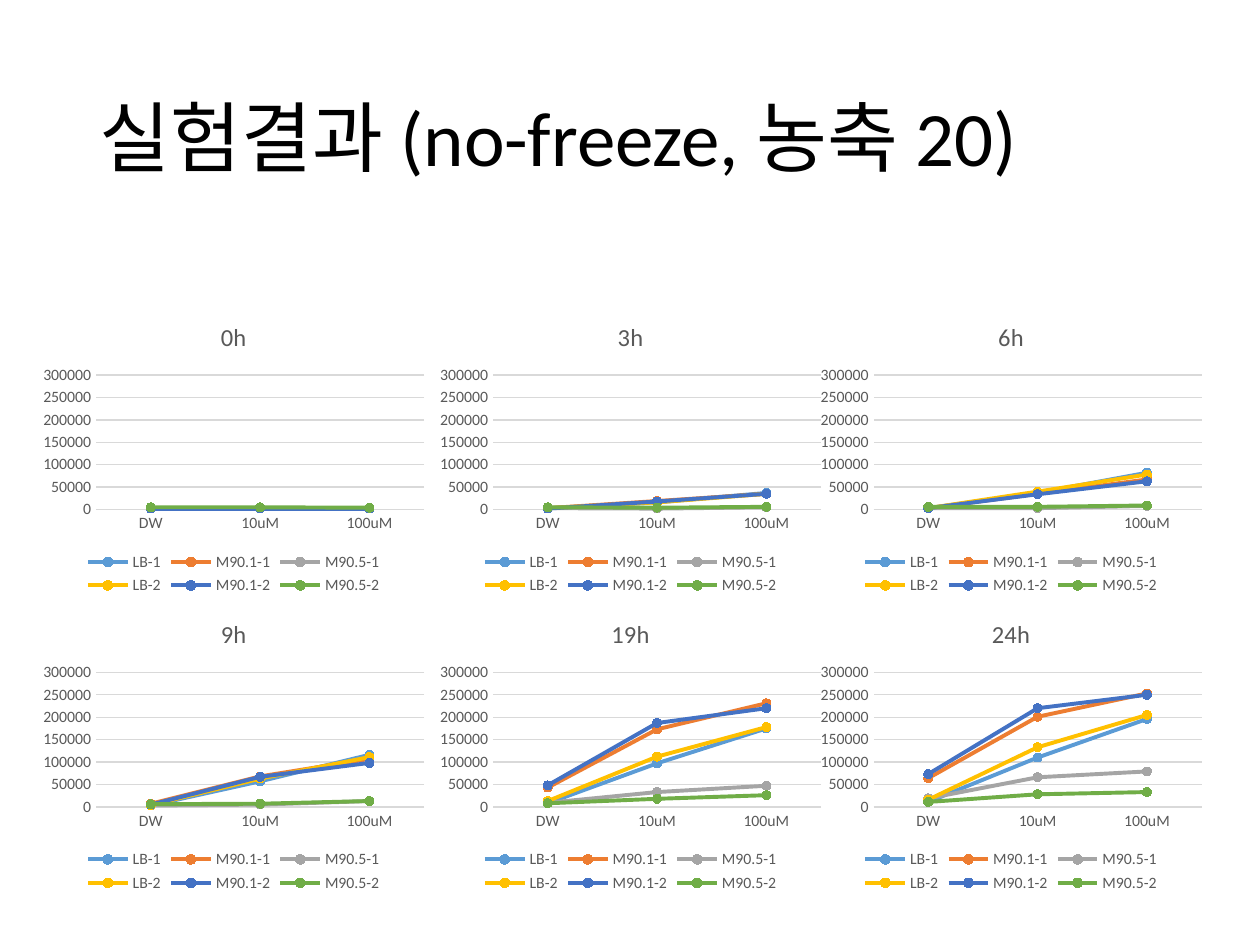
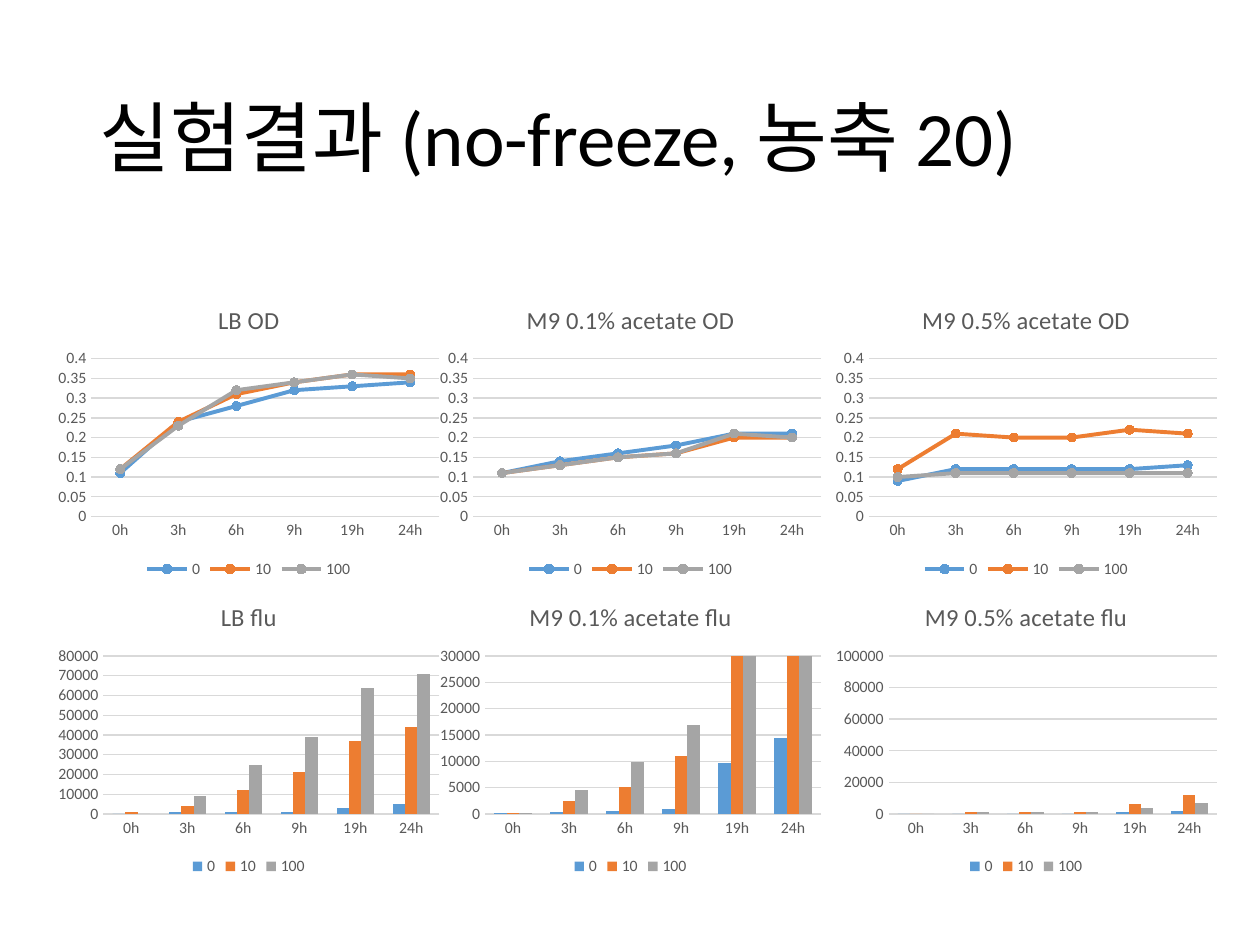
"""Build two slides of fluorescence and optical density charts."""
from dataclasses import dataclass
from itertools import product

from pptx import Presentation
from pptx.chart.data import CategoryChartData
from pptx.dml.color import RGBColor
from pptx.enum.chart import XL_CHART_TYPE, XL_LEGEND_POSITION, XL_MARKER_STYLE, XL_TICK_MARK
from pptx.enum.text import MSO_ANCHOR, MSO_AUTO_SIZE, PP_ALIGN
from pptx.util import Inches, Pt

LINE = XL_CHART_TYPE.LINE_MARKERS
COLUMN = XL_CHART_TYPE.COLUMN_CLUSTERED
BOTTOM = XL_LEGEND_POSITION.BOTTOM
CIRCLE = XL_MARKER_STYLE.CIRCLE
NO_TICK = XL_TICK_MARK.NONE
MIDDLE = MSO_ANCHOR.MIDDLE
NO_FIT = MSO_AUTO_SIZE.NONE
LEFT = PP_ALIGN.LEFT


@dataclass(frozen=True)
class Theme:
    font: str = "Calibri"
    ink: str = "000000"
    label: str = "595959"
    grid: str = "D9D9D9"
    series: tuple = ("5B9BD5", "ED7D31", "A5A5A5", "FFC000", "4472C4", "70AD47")
    title_size: int = 44
    chart_title_size: int = 14
    chart_size: int = 10
    label_size: int = 9
    hairline: float = 0.75
    stroke: float = 2.25


def apply(obj, values):
    for name, value in values.items():
        setattr(obj, name, value)


class Deck:
    def __init__(self, theme):
        self.theme = theme
        self.prs = Presentation()
        apply(self.prs, {"slide_width": Inches(10), "slide_height": Inches(7.5)})
        self.s = None

    def font(self, font, size, color):
        apply(font, {"name": self.theme.font, "size": Pt(size), "bold": False})
        font.color.rgb = RGBColor.from_string(color)

    def fill(self, fmt, color):
        fmt.fill.solid()
        fmt.fill.fore_color.rgb = RGBColor.from_string(color)

    def line(self, fmt, color, width):
        fmt.line.color.rgb = RGBColor.from_string(color)
        fmt.line.width = Pt(width)

    def slide(self, title):
        self.s = self.prs.slides.add_slide(self.prs.slide_layouts[5])
        sp = self.s.shapes.title
        apply(sp, {"left": Inches(0.69), "top": Inches(0.4),
                   "width": Inches(8.62), "height": Inches(1.45)})
        tf = sp.text_frame
        apply(tf, {"auto_size": NO_FIT, "vertical_anchor": MIDDLE, "word_wrap": True})
        p = tf.paragraphs[0]
        apply(p, {"alignment": LEFT, "line_spacing": 0.9})
        r = p.add_run()
        r.text = title
        self.font(r.font, self.theme.title_size, self.theme.ink)

    def chart(self, kind, left, top, title, cats, series, top_value, step):
        t = self.theme
        data = CategoryChartData()
        data.categories = cats
        for name, values in series.items():
            data.add_series(name, values)
        chart = self.s.shapes.add_chart(
            kind, Inches(left), Inches(top), Inches(3.15), Inches(2.36), data).chart
        self.font(chart.font, t.chart_size, t.ink)
        chart.has_title = True
        p = chart.chart_title.text_frame.paragraphs[0]
        r = p.add_run()
        r.text = title
        self.font(r.font, t.chart_title_size, t.label)
        chart.has_legend = True
        apply(chart.legend, {"position": BOTTOM, "include_in_layout": False})
        self.font(chart.legend.font, t.label_size, t.label)
        self.axes(chart, top_value, step)
        plot = chart.plots[0]
        plot.vary_by_categories = False
        if kind == COLUMN:
            apply(plot, {"gap_width": 150, "overlap": 0})
        for ser, color in zip(plot.series, t.series):
            if kind == LINE:
                self.line_series(ser, color)
            else:
                self.fill(ser.format, color)

    def axes(self, chart, top_value, step):
        t = self.theme
        cat, val = chart.category_axis, chart.value_axis
        for axis in (cat, val):
            apply(axis, {"major_tick_mark": NO_TICK, "minor_tick_mark": NO_TICK})
            self.font(axis.tick_labels.font, t.label_size, t.label)
        apply(val, {"minimum_scale": 0, "maximum_scale": top_value,
                    "major_unit": step, "has_major_gridlines": True})
        val.format.line.fill.background()
        for part in (cat, val.major_gridlines):
            self.line(part.format, t.grid, t.hairline)

    def line_series(self, ser, color):
        ser.smooth = False
        self.line(ser.format, color, self.theme.stroke)
        apply(ser.marker, {"style": CIRCLE, "size": 5})
        self.fill(ser.marker.format, color)
        self.line(ser.marker.format, color, self.theme.hairline)


TITLE = "실험결과 (no-freeze, 농축 20)"
ROW_STEP = 2.36
DOSES = ("DW", "10uM", "100uM")
HOURS = ("0h", "3h", "6h", "9h", "19h", "24h")
CULTURES = ("LB-1", "M90.1-1", "M90.5-1", "LB-2", "M90.1-2", "M90.5-2")
DOSE_NAMES = ("0", "10", "100")

FLU_THOUSANDS_BY_HOUR = (
    ((4, 4, 4), (2, 2, 2), (3, 2, 3), (4, 4, 4), (2, 2, 2), (5, 5, 4)),
    ((3, 16, 37), (3, 19, 35), (3, 2, 5), (3, 16, 35), (2, 18, 35), (5, 4, 6)),
    ((3, 37, 82), (3, 35, 67), (3, 3, 8), (3, 40, 78), (3, 34, 63), (6, 6, 9)),
    ((3, 57, 116), (7, 68, 107), (3, 5, 13), (4, 63, 111), (5, 67, 98), (6, 7, 13)),
    ((8, 97, 175), (43, 173, 231), (9, 33, 47), (13, 112, 178), (48, 187, 220),
     (8, 18, 26)),
    ((11, 110, 196), (64, 201, 253), (19, 66, 79), (16, 133, 205), (73, 220, 250),
     (11, 28, 33)),
)

CULTURE_CHARTS = (
    (LINE, "LB OD", 0.4, 0.05,
     ((0.11, 0.24, 0.28, 0.32, 0.33, 0.34),
      (0.12, 0.24, 0.31, 0.34, 0.36, 0.36),
      (0.12, 0.23, 0.32, 0.34, 0.36, 0.35))),
    (LINE, "M9 0.1% acetate OD", 0.4, 0.05,
     ((0.11, 0.14, 0.16, 0.18, 0.21, 0.21),
      (0.11, 0.13, 0.15, 0.16, 0.2, 0.2),
      (0.11, 0.13, 0.15, 0.16, 0.21, 0.2))),
    (LINE, "M9 0.5% acetate OD", 0.4, 0.05,
     ((0.09, 0.12, 0.12, 0.12, 0.12, 0.13),
      (0.12, 0.21, 0.2, 0.2, 0.22, 0.21),
      (0.1, 0.11, 0.11, 0.11, 0.11, 0.11))),
    (COLUMN, "LB flu", 80000, 10000,
     ((0, 1000, 1000, 1000, 3000, 5000),
      (1000, 4000, 12000, 21000, 37000, 44000),
      (0, 9000, 25000, 39000, 64000, 71000))),
    (COLUMN, "M9 0.1% acetate flu", 30000, 5000,
     ((200, 300, 500, 1000, 9600, 14500),
      (200, 2400, 5100, 11000, 36700, 42700),
      (200, 4600, 9800, 16800, 46500, 49900))),
    (COLUMN, "M9 0.5% acetate flu", 100000, 20000,
     ((0, 0, 0, 0, 1000, 2000),
      (0, 1000, 1000, 1000, 6000, 12000),
      (0, 1000, 1000, 1000, 4000, 7000))),
)


def grid(top, lefts):
    return [(left, y) for y, left in product((top, top + ROW_STEP), lefts)]


def dose_slide(deck):
    deck.slide(TITLE)
    places = grid(2.4, (0.28, 3.43, 6.45))
    for (left, top), hour, rows in zip(places, HOURS, FLU_THOUSANDS_BY_HOUR):
        series = {name: [v * 1000 for v in row] for name, row in zip(CULTURES, rows)}
        deck.chart(LINE, left, top, hour, DOSES, series, 300000, 50000)


def culture_slide(deck):
    deck.slide(TITLE)
    places = grid(2.27, (0.4, 3.43, 6.57))
    for (left, top), (kind, title, top_value, step, rows) in zip(places, CULTURE_CHARTS):
        series = dict(zip(DOSE_NAMES, rows))
        deck.chart(kind, left, top, title, HOURS, series, top_value, step)


def main():
    deck = Deck(Theme())
    dose_slide(deck)
    culture_slide(deck)
    deck.prs.save("out.pptx")


if __name__ == "__main__":
    main()
